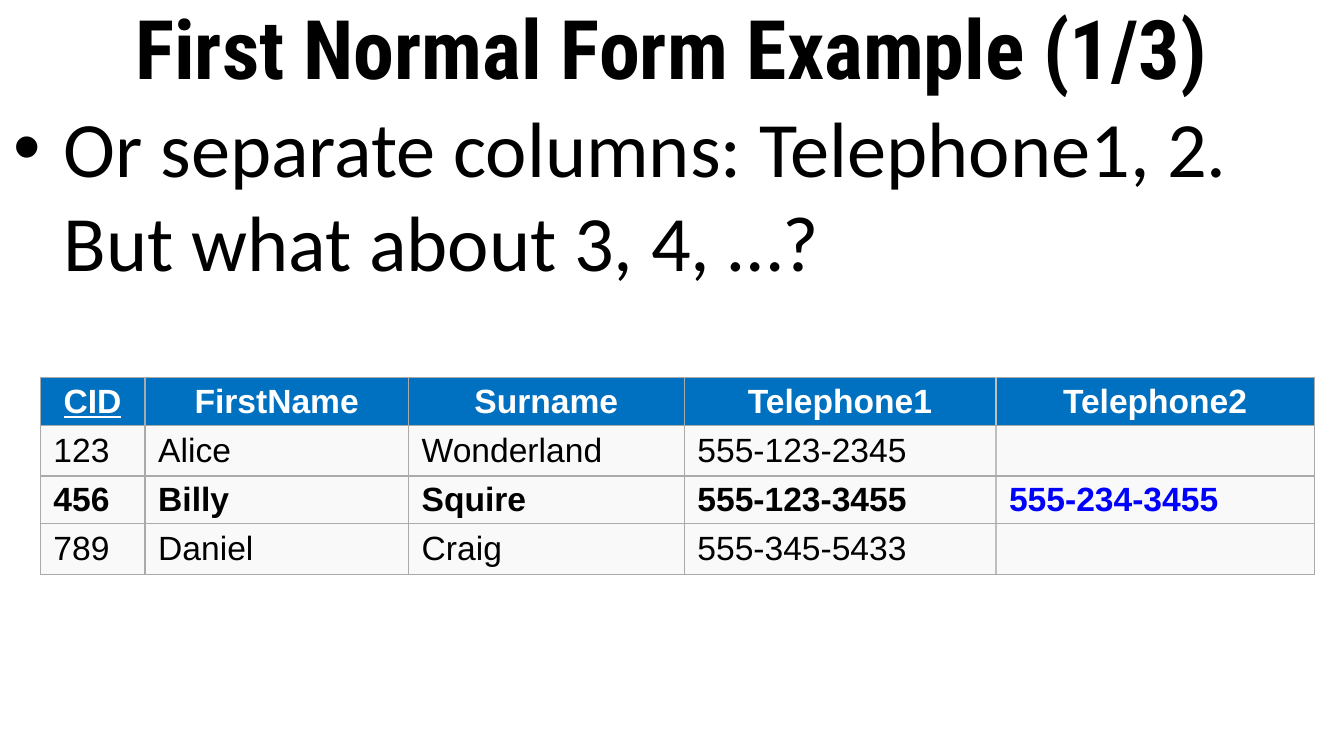
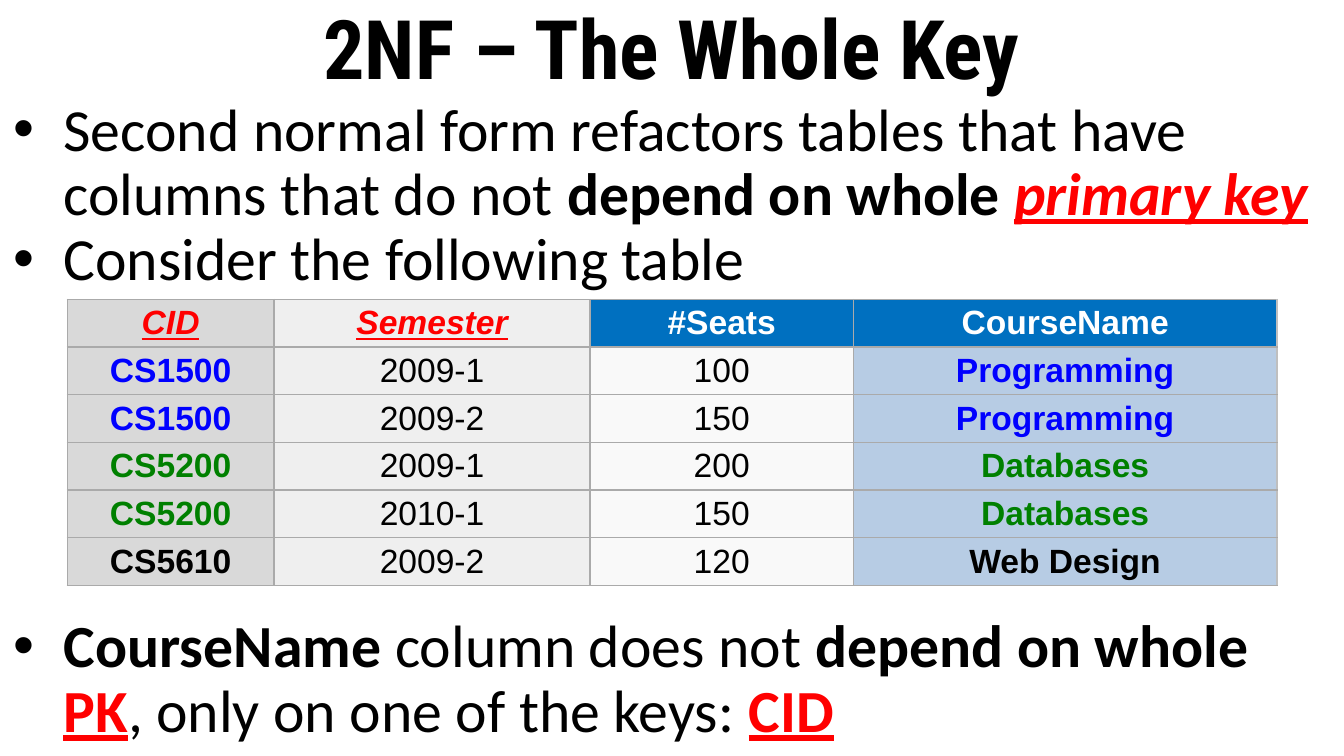
from lxml import etree
from pptx import Presentation
from pptx.dml.color import RGBColor
from pptx.enum import text
from pptx.oxml.ns import qn
from pptx.util import Cm, Pt

BLACK = RGBColor(0x00, 0x00, 0x00)
WHITE = RGBColor(0xFF, 0xFF, 0xFF)
RED = RGBColor(0xFF, 0x00, 0x00)
BLUE = RGBColor(0x00, 0x00, 0xFF)
GREEN = RGBColor(0x00, 0x80, 0x00)
HEADER = RGBColor(0x00, 0x70, 0xC0)
PALE = RGBColor(0xF9, 0xF9, 0xF9)
GREY = RGBColor(0xD9, 0xD9, 0xD9)
LIGHT = RGBColor(0xEF, 0xEF, 0xEF)
SKY = RGBColor(0xB7, 0xCC, 0xE4)
RULE = RGBColor(0xAA, 0xAA, 0xAA)
SOFT_RULE = RGBColor(0xBF, 0xBF, 0xBF)

TITLE_FONT, BODY_FONT, TABLE_FONT = "Roboto Condensed", "Calibri", "Arial"
WIDTH, HEIGHT, TITLE_H = Cm(25.4), Cm(14.29), Cm(1.75)
ROW_H = Cm(0.9)
SOFT_EDGE = 4  # the vertical rule after this many columns is softer

# Run styles: colour, bold, italic, underline
STYLES = {
    "plain": (BLACK, False, False, False),
    "bold": (BLACK, True, False, False),
    "head": (WHITE, True, False, False),
    "head key": (WHITE, True, False, True),
    "key": (RED, True, False, True),
    "key italic": (RED, True, True, True),
    "blue": (BLUE, True, False, False),
    "green": (GREEN, True, False, False),
}

# Content: bullets hold runs (text, style); table rows hold texts and styles
SLIDES = [
    {
        "title": "First Normal Form Example (1/3)",
        "size": 42, "spacing": 1.0, "hang": Cm(1.12),
        "bullets": [
            (0, [("Or separate columns: Telephone1, 2. But what about 3, 4, …?", "plain")]),
        ],
        "at": (Cm(0.76), Cm(7.14)),
        "cols": [1.98, 4.98, 5.21, 5.89, 6.02],
        "head_fills": [HEADER] * 5,
        "fills": [PALE] * 5,
        "align": text.PP_ALIGN.LEFT,
        "rows": [
            (["CID", "FirstName", "Surname", "Telephone1", "Telephone2"],
             ["head key"] + ["head"] * 4),
            (["123", "Alice", "Wonderland", "555-123-2345", ""], ["plain"] * 5),
            (["456", "Billy", "Squire", "555-123-3455", "555-234-3455"],
             ["bold"] * 4 + ["blue"]),
            (["789", "Daniel", "Craig", "555-345-5433", ""], ["plain"] * 5),
        ],
    },
    {
        "title": "2NF – The Whole Key",
        "size": 32, "spacing": 0.9, "hang": Cm(0.95),
        "bullets": [
            (0, [("Second normal form refactors tables that have columns that do not ", "plain"),
                 ("depend on whole ", "bold"), ("primary key", "key italic")]),
            (0, [("Consider the following table", "plain")]),
            (173, [("CourseName", "bold"), (" column does not ", "plain"),
                   ("depend on whole ", "bold"), ("PK", "key"),
                   (", only on one of the keys: ", "plain"), ("CID", "key")]),
        ],
        "at": (Cm(1.27), Cm(5.66)),
        "cols": [3.91, 5.97, 4.98, 8.0],
        "head_fills": [GREY, LIGHT, HEADER, HEADER],
        "fills": [GREY, LIGHT, PALE, SKY],
        "align": text.PP_ALIGN.CENTER,
        "rows": [
            (["CID", "Semester", "#Seats", "CourseName"],
             ["key italic", "key italic", "head", "head"]),
        ] + [
            ([cid, semester, seats, course], [style, "plain", "plain", style])
            for cid, semester, seats, course, style in [
                ("CS1500", "2009-1", "100", "Programming", "blue"),
                ("CS1500", "2009-2", "150", "Programming", "blue"),
                ("CS5200", "2009-1", "200", "Databases", "green"),
                ("CS5200", "2010-1", "150", "Databases", "green"),
                ("CS5610", "2009-2", "120", "Web Design", "bold"),
            ]
        ],
    },
]


def add_run(p, words, style, font, size):
    r = p.add_run()
    r.text = words
    f = r.font
    f.name, f.size = font, Pt(size)
    f.color.rgb, f.bold, f.italic, f.underline = STYLES[style]


def place(sp, top, height, anchor):
    sp.left, sp.top, sp.width, sp.height = 0, top, WIDTH, height
    tf = sp.text_frame
    tf.word_wrap = True
    tf.auto_size = text.MSO_AUTO_SIZE.NONE
    tf.vertical_anchor = anchor
    tf.margin_left = tf.margin_right = Cm(0.25)
    tf.margin_top = tf.margin_bottom = Cm(0.13)
    return tf


def add_bullet(p, hang):
    pPr = p._p.get_or_add_pPr()
    pPr.set("marL", str(Cm(0.95)))
    pPr.set("indent", str(-hang))
    color = etree.SubElement(pPr, qn("a:buClr"))
    etree.SubElement(color, qn("a:srgbClr")).set("val", str(BLACK))
    etree.SubElement(pPr, qn("a:buFont")).set("typeface", "Arial")
    etree.SubElement(pPr, qn("a:buChar")).set("char", "•")


def add_borders(cell, col):
    """Draw the four edges; they must come before the cell's fill."""
    tcPr = cell._tc.get_or_add_tcPr()
    for tag, edge in (("lnL", col), ("lnR", col + 1), ("lnT", 0), ("lnB", 0)):
        color, width = (SOFT_RULE, 1) if edge == SOFT_EDGE else (RULE, 0.75)
        ln = etree.SubElement(tcPr, qn("a:" + tag))
        ln.set("w", str(Pt(width)))
        fill = etree.SubElement(ln, qn("a:solidFill"))
        etree.SubElement(fill, qn("a:srgbClr")).set("val", str(color))


def add_grid(s, data):
    rows, cols = data["rows"], [Cm(w) for w in data["cols"]]
    table = s.shapes.add_table(len(rows), len(cols), *data["at"],
                               sum(cols), ROW_H * len(rows)).table
    table.horz_banding = False
    for column, width in zip(table.columns, cols):
        column.width = width
    for i, (words, styles) in enumerate(rows):
        table.rows[i].height = ROW_H
        fills = data["fills"] if i else data["head_fills"]
        for j, (word, style, fill) in enumerate(zip(words, styles, fills)):
            cell = table.cell(i, j)
            add_borders(cell, j)
            cell.fill.solid()
            cell.fill.fore_color.rgb = fill
            cell.vertical_anchor = text.MSO_ANCHOR.MIDDLE
            cell.margin_left = cell.margin_right = Cm(0.25)
            cell.margin_top = cell.margin_bottom = Cm(0.09)
            p = cell.text_frame.paragraphs[0]
            p.alignment = data["align"] if i else text.PP_ALIGN.CENTER
            if word:
                add_run(p, word, style, TABLE_FONT, 18)


def add_slide(prs, data):
    s = prs.slides.add_slide(prs.slide_layouts[1])
    # Title
    tf = place(s.shapes.title, 0, TITLE_H, text.MSO_ANCHOR.MIDDLE)
    p = tf.paragraphs[0]
    p.alignment = text.PP_ALIGN.CENTER
    add_run(p, data["title"], "bold", TITLE_FONT, 44)
    # Bullets
    tf = place(s.placeholders[1], TITLE_H, HEIGHT - TITLE_H, text.MSO_ANCHOR.TOP)
    for i, (before, runs) in enumerate(data["bullets"]):
        p = tf.add_paragraph() if i else tf.paragraphs[0]
        add_bullet(p, data["hang"])
        p.line_spacing = data["spacing"]
        p.space_before = Pt(before)
        for words, style in runs:
            add_run(p, words, style, BODY_FONT, data["size"])
    # Table
    add_grid(s, data)


def main():
    prs = Presentation()
    prs.slide_width, prs.slide_height = WIDTH, HEIGHT
    for data in SLIDES:
        add_slide(prs, data)
    prs.save("out.pptx")


if __name__ == "__main__":
    main()
